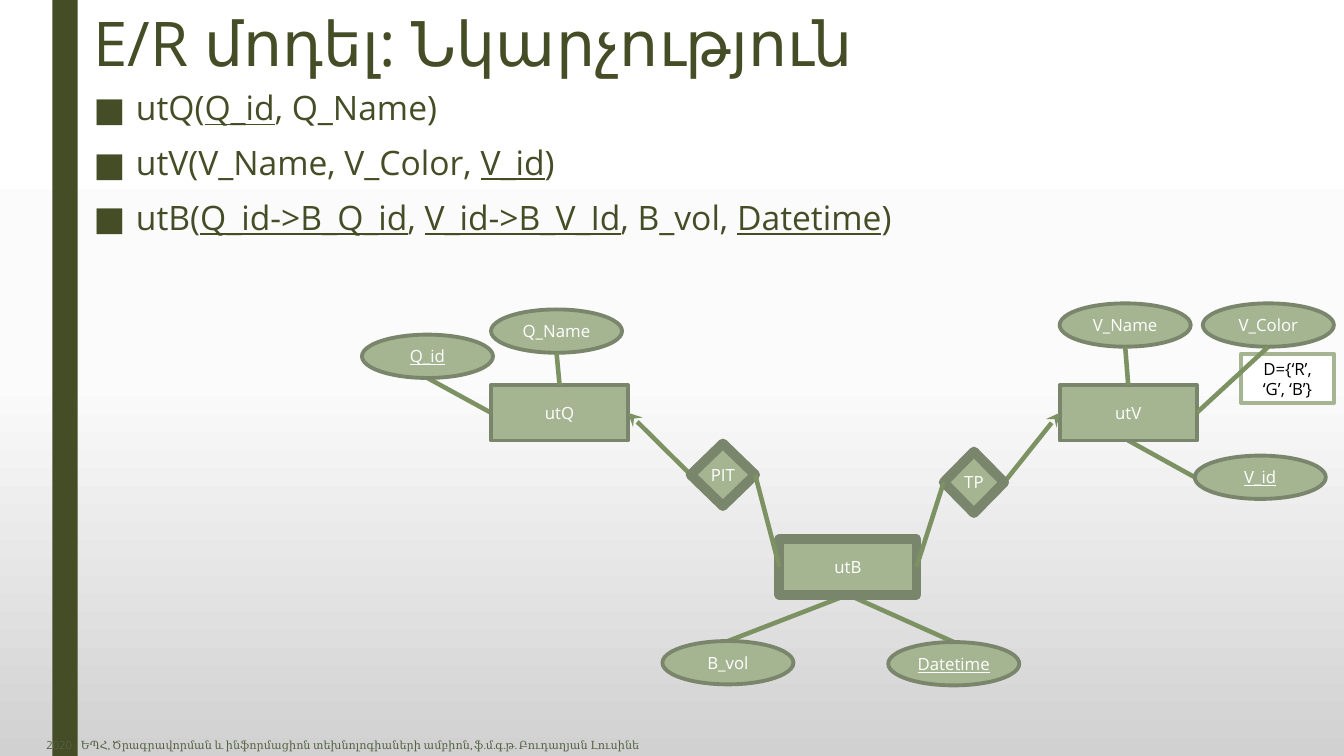
from lxml import etree
from pptx import Presentation
from pptx.dml.color import RGBColor
from pptx.enum.shapes import MSO_CONNECTOR, MSO_SHAPE
from pptx.enum.text import MSO_ANCHOR, PP_ALIGN
from pptx.oxml import parse_xml
from pptx.oxml.ns import nsdecls, qn
from pptx.util import Inches, Pt

OLIVE = RGBColor(0x44, 0x4D, 0x26)
SAGE = RGBColor(0xA5, 0xB5, 0x92)
BORDER = RGBColor(0x7A, 0x86, 0x6C)
LINK = RGBColor(0x7D, 0x92, 0x63)
FOOTER = RGBColor(0x53, 0x61, 0x42)
WHITE = RGBColor(0xFF, 0xFF, 0xFF)
BLACK = RGBColor(0, 0, 0)
BACKGROUND_STOPS = [(0, "FFFFFF"), (50, "FBFBFB"), (100, "D1D1D1")]

FONT = "Open Sans"
THIN, THICK = 2.75, 7
ENTITY_SIZE = (1.36, 0.55)
ATTRIBUTE_SIZE = (1.3, 0.43)

# Runs are (text, underlined)
RELATIONS = [
    [("utQ(", False), ("Q_id", True), (", Q_Name)", False)],
    [("utV(V_Name, V_Color, ", False), ("V_id", True), (")", False)],
    [("utB(", False), ("Q_id->B_Q_id", True), (", ", False),
     ("V_id->B_V_Id", True), (", B_vol, ", False), ("Datetime", True), (")", False)],
]

# name: (left, top, width, height), relative to the diagram
ENTITIES = {
    "utQ": (1.28, 0.81, *ENTITY_SIZE),
    "utV": (6.92, 0.81, *ENTITY_SIZE),
    "utB": (4.14, 2.34, *ENTITY_SIZE),
}
RELATIONSHIPS = {
    "PIT": (3.26, 1.39, 0.64, 0.62),
    "TP": (5.77, 1.47, 0.6, 0.61),
}
ATTRIBUTES = {
    "Q_id": (0, 0.31, *ATTRIBUTE_SIZE),
    "Q_Name": (1.28, 0.06, *ATTRIBUTE_SIZE),
    "V_Name": (6.92, 0, *ATTRIBUTE_SIZE),
    "V_Color": (8.34, 0, *ATTRIBUTE_SIZE),
    "V_id": (8.26, 1.51, *ATTRIBUTE_SIZE),
    "B_vol": (2.98, 3.35, *ATTRIBUTE_SIZE),
    "Datetime": (5.22, 3.36, *ATTRIBUTE_SIZE),
}
KEYS = {"Q_id", "V_id", "Datetime"}
DOMAIN = (8.72, 0.5, 0.92, 0.49)
NODES = ENTITIES | RELATIONSHIPS | ATTRIBUTES

# (from, side, to, side)
BACK_LINKS = [
    ("utQ", "left", "Q_id", "bottom"),
    ("utV", "bottom", "V_id", "left"),
    ("utB", "bottom", "B_vol", "top"),
    ("utB", "bottom", "Datetime", "top"),
]
ARROWS = [("PIT", "left", "utQ", "right"), ("TP", "right", "utV", "left")]
FRONT_LINKS = [
    ("utQ", "top", "Q_Name", "bottom"),
    ("utV", "top", "V_Name", "bottom"),
    ("utV", "right", "V_Color", "bottom"),
    ("PIT", "right", "utB", "left"),
    ("utB", "right", "TP", "left"),
]
SIDES = {"left": (0, 0.5), "right": (1, 0.5), "top": (0.5, 0), "bottom": (0.5, 1)}


def add_run(paragraph, text, size, color, font=FONT, underline=False):
    run = paragraph.add_run()
    run.text = text
    run.font.name = font
    run.font.size = Pt(size)
    run.font.color.rgb = color
    if underline:
        run.font.underline = True


def add_text_frame(slide, box, anchor):
    frame = slide.shapes.add_textbox(*map(Inches, box)).text_frame
    frame.word_wrap = True
    frame.vertical_anchor = anchor
    return frame


def set_background(slide):
    fill = slide.background.fill
    fill.gradient()
    fill.gradient_angle = 270
    stops = slide.background._cSld.find(".//" + qn("a:gsLst"))
    for stop in list(stops):
        stops.remove(stop)
    for position, color in BACKGROUND_STOPS:
        stops.append(parse_xml(
            f'<a:gs {nsdecls("a")} pos="{position * 1000}"><a:srgbClr val="{color}"/></a:gs>'))


def add_side_bar(slide, box):
    bar = slide.shapes.add_shape(MSO_SHAPE.RECTANGLE, *map(Inches, box))
    bar.shadow.inherit = False
    bar.fill.solid()
    bar.fill.fore_color.rgb = OLIVE
    bar.line.fill.background()


def add_title(slide, box):
    paragraph = add_text_frame(slide, box, MSO_ANCHOR.MIDDLE).paragraphs[0]
    paragraph.line_spacing = 0.89
    add_run(paragraph, "E/R մոդել: Նկարչություն", 44, OLIVE)


def add_relations(slide, box):
    frame = add_text_frame(slide, box, MSO_ANCHOR.TOP)
    for index, runs in enumerate(RELATIONS):
        paragraph = frame.add_paragraph() if index else frame.paragraphs[0]
        paragraph.line_spacing = 0.94
        paragraph.space_before = Pt(10)
        paragraph.space_after = Pt(2)
        properties = paragraph._p.get_or_add_pPr()
        properties.set("marL", str(Inches(0.42)))
        properties.set("indent", str(-Inches(0.42)))
        etree.SubElement(properties, qn("a:buFont"), typeface=FONT)
        etree.SubElement(properties, qn("a:buChar"), char="■")
        for text, underline in runs:
            add_run(paragraph, text, 24, OLIVE, underline=underline)


def add_footer(slide, box):
    paragraph = add_text_frame(slide, box, MSO_ANCHOR.TOP).paragraphs[0]
    paragraph.alignment = PP_ALIGN.CENTER
    add_run(paragraph, "2020", 8, FOOTER)
    add_run(paragraph, " - ԵՊՀ, Ծրագրավորման և ինֆորմացիոն տեխնոլոգիաների ամբիոն, "
            "ֆ.մ.գ.թ. Բուդաղյան Լուսինե", 8, FOOTER, font="Cambria")


def add_node(slide, origin, kind, box, text, border=THIN,
             fill=SAGE, line=BORDER, color=WHITE):
    left, top, width, height = box
    shape = slide.shapes.add_shape(
        kind, Inches(origin[0] + left), Inches(origin[1] + top), Inches(width), Inches(height))
    shape.shadow.inherit = False
    shape.fill.solid()
    shape.fill.fore_color.rgb = fill
    shape.line.color.rgb = line
    shape.line.width = Pt(border)
    frame = shape.text_frame
    frame.word_wrap = True
    frame.vertical_anchor = MSO_ANCHOR.MIDDLE
    if kind == MSO_SHAPE.DIAMOND:
        frame.margin_left = frame.margin_right = 0
    paragraph = frame.paragraphs[0]
    paragraph.alignment = PP_ALIGN.CENTER
    add_run(paragraph, text, 12, color, underline=text in KEYS)


def side_point(origin, name, side):
    left, top, width, height = NODES[name]
    across, down = SIDES[side]
    return Inches(origin[0] + left + across * width), Inches(origin[1] + top + down * height)


def add_links(slide, origin, links, arrow=False):
    for start, start_side, end, end_side in links:
        link = slide.shapes.add_connector(
            MSO_CONNECTOR.STRAIGHT, *side_point(origin, start, start_side),
            *side_point(origin, end, end_side))
        link.line.color.rgb = LINK
        link.line.width = Pt(3.25)
        if arrow:
            etree.SubElement(link.line._get_or_add_ln(), qn("a:tailEnd"), type="stealth")
        etree.SubElement(link._element.spPr, qn("a:effectLst"))


def add_diagram(slide, origin):
    """Stack links and nodes so that arrowheads stay above the entities."""
    add_node(slide, origin, MSO_SHAPE.RECTANGLE, DOMAIN, "D={‘R’, ‘G’, ‘B’}",
             fill=WHITE, line=SAGE, color=BLACK)
    add_links(slide, origin, BACK_LINKS)
    for name, box in ENTITIES.items():
        add_node(slide, origin, MSO_SHAPE.RECTANGLE, box, name,
                 THICK if name == "utB" else THIN)
    add_links(slide, origin, ARROWS, arrow=True)
    for name, box in RELATIONSHIPS.items():
        add_node(slide, origin, MSO_SHAPE.DIAMOND, box, name, THICK)
    for name, box in ATTRIBUTES.items():
        add_node(slide, origin, MSO_SHAPE.OVAL, box, name)
    add_links(slide, origin, FRONT_LINKS)


def main():
    presentation = Presentation()
    presentation.slide_width = Inches(13.33)
    presentation.slide_height = Inches(7.5)
    slide = presentation.slides.add_slide(presentation.slide_layouts[6])
    set_background(slide)
    add_side_bar(slide, (0.52, 0, 0.25, 7.5))
    add_title(slide, (0.83, 0.08, 12.4, 0.76))
    add_relations(slide, (0.83, 0.85, 12.4, 6.32))
    add_footer(slide, (0, 7.28, 6.81, 0.23))
    add_diagram(slide, (3.59, 3.01))
    presentation.save("out.pptx")


if __name__ == "__main__":
    main()
